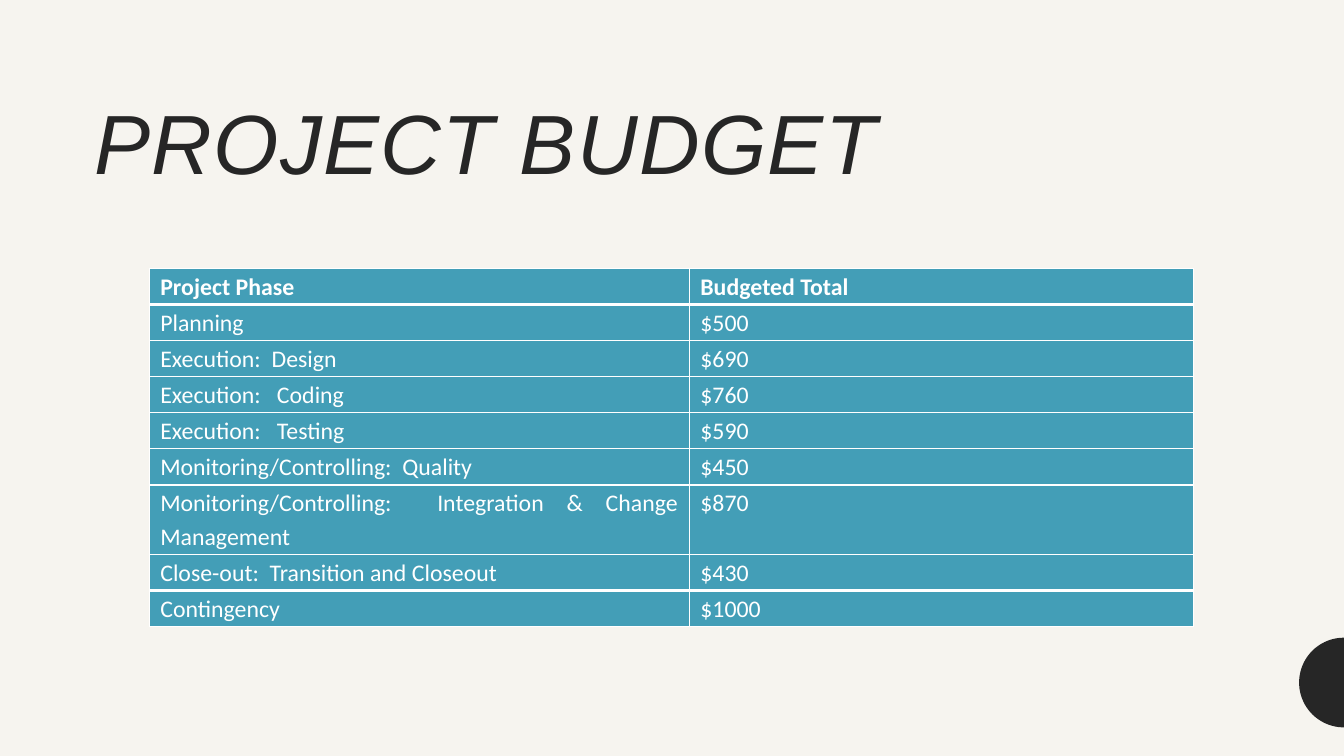
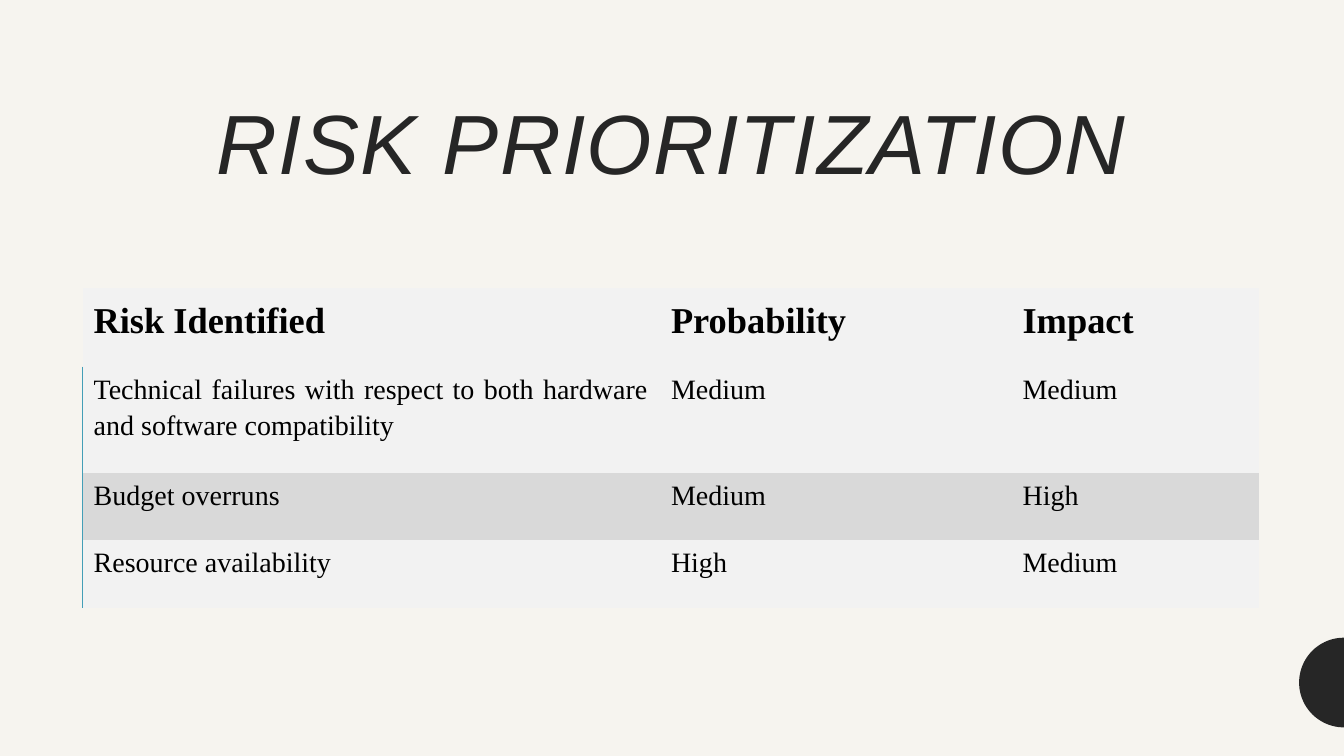
from math import cos, pi, sin

from lxml.etree import SubElement
from pptx import Presentation
from pptx.dml.color import RGBColor
from pptx.enum.text import MSO_ANCHOR, MSO_AUTO_SIZE, PP_ALIGN
from pptx.oxml.ns import qn
from pptx.util import Cm, Pt

COLORS = {
    "paper": "F6F4EF",
    "ink": "262626",
    "teal": "439EB7",
    "white": "FFFFFF",
    "black": "000000",
    "light": "F2F2F2",
    "gray": "D9D9D9",
}
SLIDE_WIDTH, SLIDE_HEIGHT = 33.87, 19.05
DISC_MIDDLE, DISC_RADIUS, DISC_STEPS = 17.2, 1.13, 48

BUDGET = [
    ("Project Phase", "Budgeted Total"),
    ("Planning", "$500"),
    ("Execution:  Design", "$690"),
    ("Execution:   Coding", "$760"),
    ("Execution:   Testing", "$590"),
    ("Monitoring/Controlling:  Quality", "$450"),
    ("Monitoring/Controlling:  Integration & Change Management", "$870"),
    ("Close-out:  Transition and Closeout", "$430"),
    ("Contingency", "$1000"),
]
RISKS = [
    ("Risk Identified", "Probability", "Impact"),
    ("Technical failures with respect to both hardware and software compatibility",
     "Medium", "Medium"),
    ("Budget overruns", "Medium", "High"),
    ("Resource availability", "High", "Medium"),
]


def color(name):
    return RGBColor.from_string(COLORS[name])


def write(frame, text, font, size, ink, align=PP_ALIGN.JUSTIFY, spacing=1.15,
          bold=False, italic=False, tracking=0):
    para = frame.paragraphs[0]
    para.alignment = align
    para.line_spacing = spacing
    para.space_before = Pt(0)
    span = para.add_run()
    span.text = text
    span.font.name = font
    span.font.size = Pt(size)
    span.font.bold = bold
    span.font.italic = italic
    span.font.color.rgb = color(ink)
    if tracking:
        span._r.get_or_add_rPr().set("spc", str(tracking * 100))


def add_title(page, text, align):
    title = page.shapes.title
    title.left, title.top = Cm(2.12), Cm(1.17)
    title.width, title.height = Cm(29.63), Cm(3.81)
    frame = title.text_frame
    frame.word_wrap = True
    frame.auto_size = MSO_AUTO_SIZE.NONE
    frame.vertical_anchor = MSO_ANCHOR.BOTTOM
    write(frame, text, "Arial", 60, "ink", align=align, spacing=0.9,
          italic=True, tracking=1)


def add_half_disc(page):
    angles = [pi / 2 + pi * step / DISC_STEPS for step in range(DISC_STEPS + 1)]
    points = [(Cm(SLIDE_WIDTH + DISC_RADIUS * cos(angle)),
               Cm(DISC_MIDDLE - DISC_RADIUS * sin(angle))) for angle in angles]
    builder = page.shapes.build_freeform(*points[0])
    builder.add_line_segments(points[1:], close=True)
    disc = builder.convert_to_shape()
    disc.shadow.inherit = False
    disc.fill.solid()
    disc.fill.fore_color.rgb = color("ink")
    disc.line.fill.background()


def add_page(deck, title, align):
    page = deck.slides.add_slide(deck.slide_layouts[5])
    add_title(page, title, align)
    add_half_disc(page)
    return page


def add_grid(page, left, top, widths, heights):
    frame = page.shapes.add_table(len(heights), len(widths), Cm(left), Cm(top),
                                  Cm(sum(widths)), Cm(sum(heights)))
    grid = frame.table
    grid.horz_banding = False
    for column, width in zip(grid.columns, widths):
        column.width = Cm(width)
    for row, height in zip(grid.rows, heights):
        row.height = Cm(height)
    return grid


def set_borders(cell, ink, **widths):
    properties = cell._tc.get_or_add_tcPr()
    for side in "LRTB":
        width = widths.get(side, 0)
        line = SubElement(properties, qn(f"a:ln{side}"), w=str(Pt(width)))
        if width:
            fill = SubElement(line, qn("a:solidFill"))
            SubElement(fill, qn("a:srgbClr"), val=COLORS[ink])
        else:
            SubElement(line, qn("a:noFill"))


def style_cell(cell, fill, margins, anchor=MSO_ANCHOR.TOP):
    cell.margin_left, cell.margin_top, cell.margin_right, cell.margin_bottom = map(Cm, margins)
    cell.vertical_anchor = anchor
    cell.fill.solid()
    cell.fill.fore_color.rgb = color(fill)


def add_budget_table(page):
    heights = [0.91] * 6 + [1.75] + [0.91] * 2
    grid = add_grid(page, 3.76, 6.76, [13.61, 12.7], heights)
    last = len(BUDGET) - 1
    for index, texts in enumerate(BUDGET):
        above = 3 if index in (1, last) else 1
        below = 3 if index in (0, last - 1) else 1
        for cell, text in zip(grid.rows[index].cells, texts):
            set_borders(cell, "white", L=1, R=1, T=above, B=below)
            style_cell(cell, "teal", (0.28, 0, 0.28, 0))
            write(cell.text_frame, text, "Calibri", 17, "white", bold=index == 0)


def add_risk_table(page):
    grid = add_grid(page, 2.08, 7.26, [14.55, 8.86, 6.25], [1.98, 2.67, 1.7, 1.7])
    for index, texts in enumerate(RISKS):
        header = index == 0
        fill = "gray" if index == 2 else "light"
        anchor = MSO_ANCHOR.BOTTOM if header else MSO_ANCHOR.TOP
        for column, text in enumerate(texts):
            cell = grid.cell(index, column)
            set_borders(cell, "teal", L=1 if column == 0 and not header else 0)
            style_cell(cell, fill, (0.28, 0.08, 0.3, 0.64), anchor)
            write(cell.text_frame, text, "Times New Roman", 26 if header else 20,
                  "black", bold=header)


def main():
    deck = Presentation()
    deck.slide_width, deck.slide_height = Cm(SLIDE_WIDTH), Cm(SLIDE_HEIGHT)
    background = deck.slide_master.background.fill
    background.solid()
    background.fore_color.rgb = color("paper")
    add_budget_table(add_page(deck, "PROJECT BUDGET", PP_ALIGN.LEFT))
    add_risk_table(add_page(deck, "RISK PRIORITIZATION", PP_ALIGN.CENTER))
    deck.save("out.pptx")


if __name__ == "__main__":
    main()
